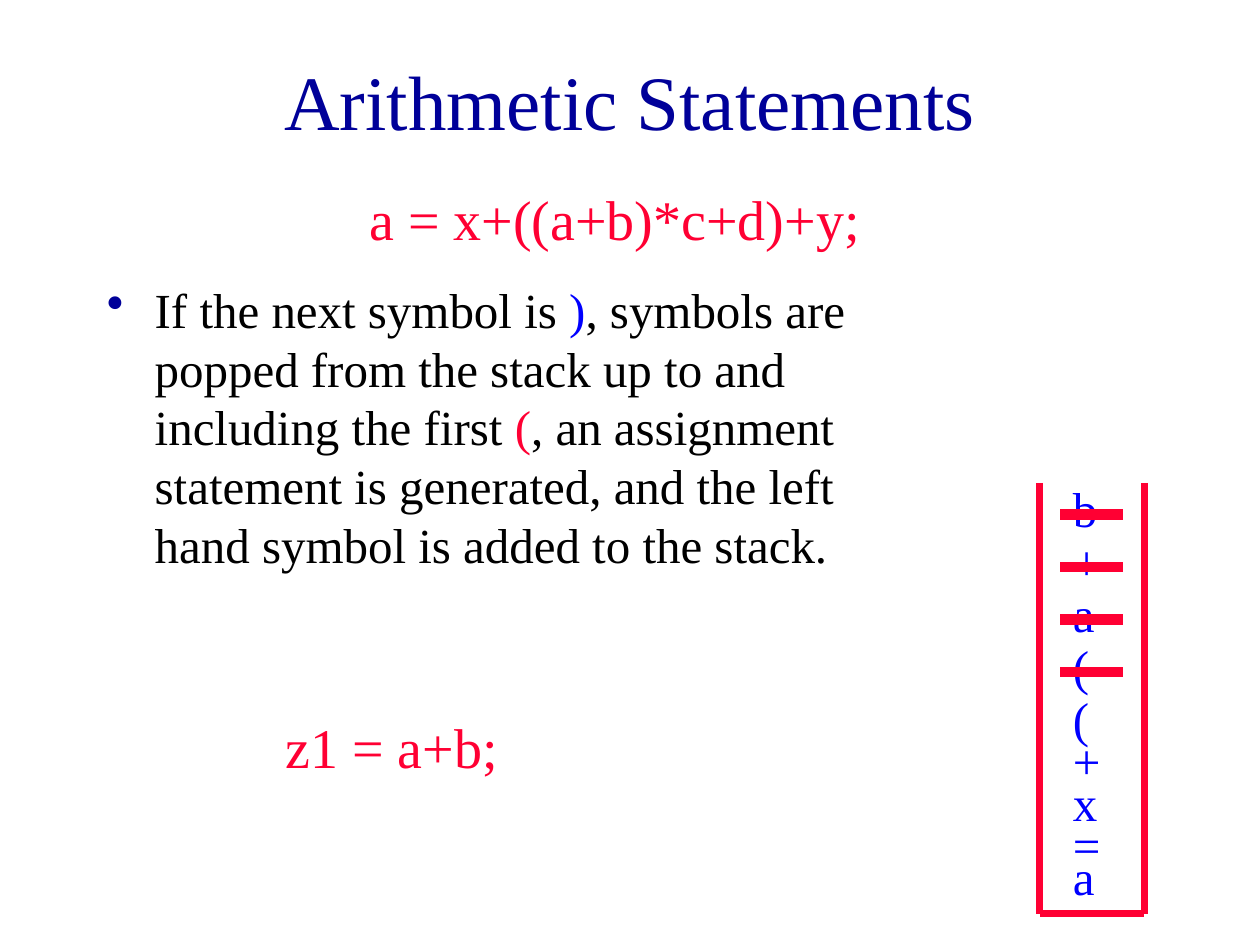
from lxml import etree
from pptx import Presentation
from pptx.dml.color import RGBColor
from pptx.enum.shapes import MSO_CONNECTOR
from pptx.enum.text import MSO_ANCHOR, PP_ALIGN
from pptx.oxml.ns import qn
from pptx.util import Inches, Pt

NAVY = RGBColor(0x00, 0x00, 0x99)
BLUE = RGBColor(0x00, 0x00, 0xFF)
RED = RGBColor(0xFF, 0x00, 0x33)
BLACK = RGBColor(0x00, 0x00, 0x00)
FONT = "Times New Roman"
LINE = MSO_CONNECTOR.STRAIGHT
MIDDLE, TOP = MSO_ANCHOR.MIDDLE, MSO_ANCHOR.TOP
CENTER, LEFT = PP_ALIGN.CENTER, PP_ALIGN.LEFT


def cell(count):
    """Grid length: twelve cells to the inch, 120 columns by 90 rows."""
    return Inches(count / 12)


def write(frame, runs, size=28, align=LEFT, anchor=TOP, wrap=True, space=None):
    """Fill a frame with one paragraph of (text, colour) runs."""
    frame.word_wrap = wrap
    frame.vertical_anchor = anchor
    para = frame.paragraphs[0]
    para.alignment = align
    para.line_spacing = space
    for text, color in runs:
        run = para.add_run()
        run.text = text
        run.font.name = FONT
        run.font.size = Pt(size)
        run.font.color.rgb = color
    return para


class Deck:
    def __init__(self):
        self.prs = Presentation()
        self.prs.slide_width, self.prs.slide_height = cell(120), cell(90)
        self.slide = self.prs.slides.add_slide(self.prs.slide_layouts[5])

    def title(self, text, col, row, wide, high):
        box = self.slide.shapes.title
        box.left, box.top = cell(col), cell(row)
        box.width, box.height = cell(wide), cell(high)
        write(box.text_frame, [(text, NAVY)], size=44, align=CENTER, anchor=MIDDLE)

    def text(self, runs, col, row, wide, high, **style):
        box = self.slide.shapes.add_textbox(
            cell(col), cell(row), cell(wide), cell(high))
        return write(box.text_frame, runs, **style)

    def bullet(self, runs, col, row, wide, high):
        props = self.text(runs, col, row, wide, high)._p.get_or_add_pPr()
        props.set("marL", str(Inches(0.38)))
        props.set("indent", str(-Inches(0.38)))
        tint = etree.SubElement(props, qn("a:buClr"))
        etree.SubElement(tint, qn("a:srgbClr"), val=str(NAVY))
        etree.SubElement(props, qn("a:buChar"), char="•")

    def line(self, start, end, width):
        line = self.slide.shapes.add_connector(
            LINE, *(cell(n) for n in (*start, *end)))
        line.line.color.rgb = RED
        line.line.width = Pt(width)
        etree.SubElement(line._element.spPr, qn("a:effectLst"))


def main():
    deck = Deck()
    deck.title("Arithmetic Statements", 9, 2, 102, 15)

    # Rule and the statement it works on
    deck.bullet([
        ("If the next symbol is ", BLACK), (")", BLUE),
        (", symbols are popped from the stack up to and including the first ", BLACK),
        ("(", RED),
        (", an assignment statement is generated, and the left hand symbol"
         " is added to the stack.", BLACK),
    ], 9, 26, 73, 38)
    deck.text([("a = x+((a+b)*c+d)+y;", RED)], 34, 17, 54, 7.5, size=32)

    # Stack walls and floor
    left, right, top, floor = 99, 109, 46, 87
    deck.line((left, top), (left, floor), 4)
    deck.line((left, floor), (right, floor), 4)
    deck.line((right, top), (right, floor), 4)

    # Stack symbols, top to bottom
    rows = (45, 50, 55, 60, 65, 69, 73, 77, 80)
    for row, sign in zip(rows, "b+a((+x=a"):
        deck.text([(sign, BLUE)], 101, row, 9, 6.8)

    # Strokes through the popped symbols
    for row in rows[:4]:
        deck.line((101, row + 4), (107, row + 4), 6)

    # Generated assignment
    deck.text([("z1 = a+b;", RED)], 26, 68, 22.7, 7, size=32, wrap=False, space=0.9)

    deck.prs.save("out.pptx")


if __name__ == "__main__":
    main()
